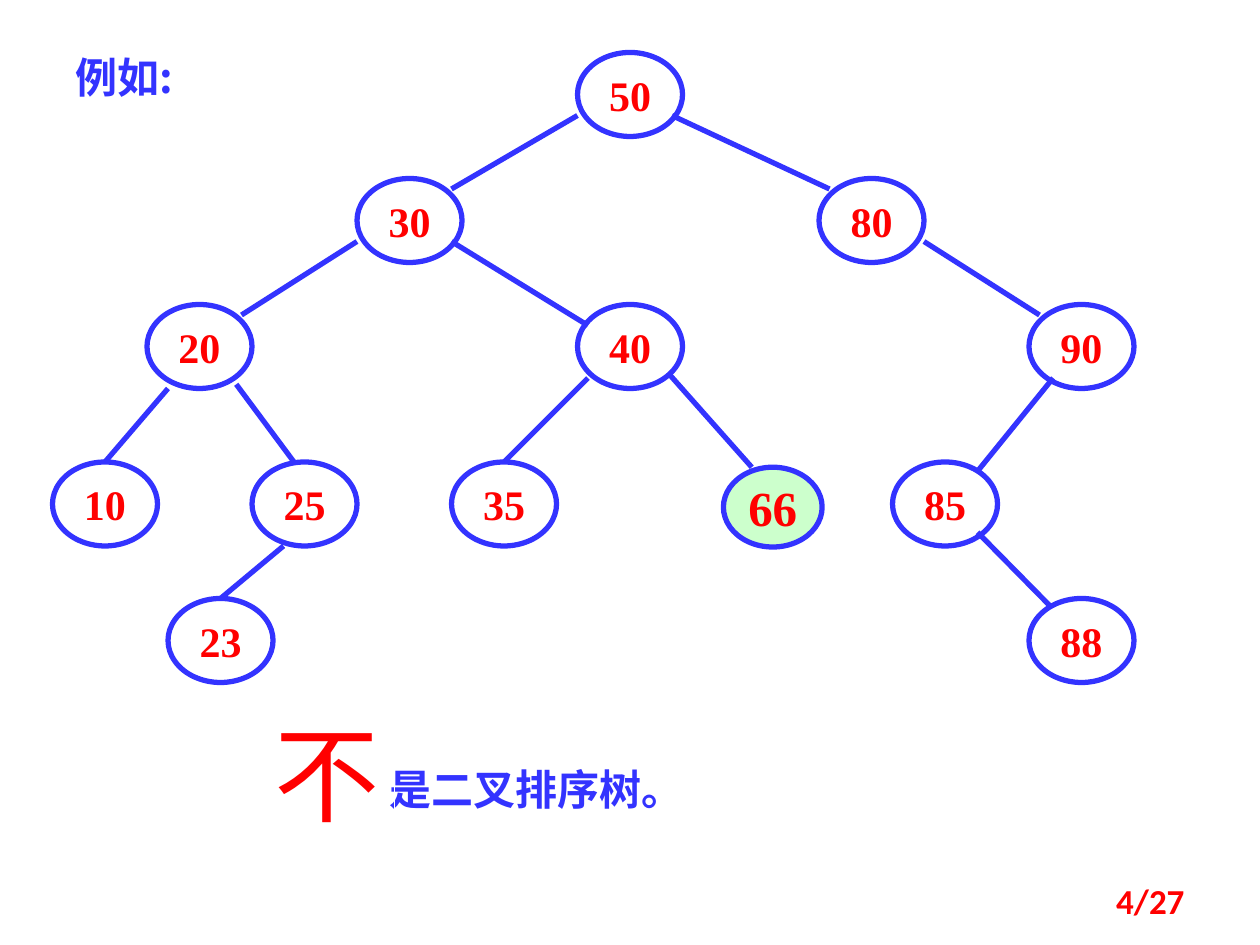
import pptx
import pptx.dml.color
import pptx.enum.shapes
import pptx.enum.text
import pptx.oxml.ns
import pptx.util
from lxml import etree

SLIDE_WIDTH, SLIDE_HEIGHT = 10, 7.5
COLUMNS, ROWS = 120, 90
NODE_SIZE = (10, 8)
THEME = {
    "edge": "3333FF", "key": "FF0000", "wrong": "CCFFCC", "frame": "FFFFFF",
    "edge_width": 3, "frame_width": 0.75,
    "serif": "Times New Roman", "cjk": "Noto Sans CJK SC", "sans": "Calibri",
    "text_size": 24, "wrong_size": 28, "not_size": 60, "page_size": 20,
}

KEYS = {
    "50": (55, 5),
    "30": (34, 17), "80": (78, 17),
    "20": (14, 29), "40": (55, 29), "90": (98, 29),
    "10": (5, 44), "25": (24, 44), "35": (43, 44), "85": (85, 44),
    "23": (16, 57), "88": (98, 57),
}
WRONG_KEY = ("66", (68.9, 44.5), (9.4, 7.6))
BRANCHES = [
    ((55, 11), (43, 18)), ((64, 11), (79, 18)),
    ((34, 23), (23, 30)), ((43, 23), (56, 31)), ((88, 23), (99, 30)),
    ((16, 37), (10, 44)), ((22.5, 36.6), (28, 44)),
    ((56, 36), (48, 44)), ((63.7, 35.6), (71.6, 44.5)),
    ((100.3, 36), (93, 45)),
    ((27, 52), (21, 57)), ((93.1, 50.7), (100, 57.7)),
]
CAPTIONS = [
    ("例如:", (6, 4.3), (12.6, 6), "cjk", "text_size", "edge", True, True),
    ("是二叉排序树。", (35.9, 72.1), (30.8, 6), "cjk", "text_size", "edge", True, False),
    ("不", (25, 67), (12.6, 13.3), "serif", "not_size", "key", False, False),
]
PAGE = ("4/27", (86, 83.4), (28, 4.8))

deck = pptx.Presentation()
deck.slide_width = pptx.util.Inches(SLIDE_WIDTH)
deck.slide_height = pptx.util.Inches(SLIDE_HEIGHT)
slide = deck.slides.add_slide(deck.slide_layouts[6])
Align = pptx.enum.text.PP_ALIGN
Anchor = pptx.enum.text.MSO_ANCHOR
Preset = pptx.enum.shapes.MSO_SHAPE


def place(point):
    return (int(deck.slide_width * point[0] / COLUMNS),
            int(deck.slide_height * point[1] / ROWS))


def color(name):
    return pptx.dml.color.RGBColor.from_string(THEME[name])


def outline(part, name):
    part.line.color.rgb = color(name)
    part.line.width = pptx.util.Pt(THEME[name + "_width"])


def write(part, words, font, size, ink, bold, align, anchor, wrap):
    frame = part.text_frame
    frame.text = words
    frame.word_wrap = wrap
    frame.vertical_anchor = anchor
    paragraph = frame.paragraphs[0]
    paragraph.alignment = align
    run = paragraph.runs[0]
    run.font.name = THEME[font]
    run.font.size = pptx.util.Pt(THEME[size])
    run.font.bold = bold
    run.font.color.rgb = color(ink)
    if not words.isascii():
        east_asian = etree.SubElement(run.font._element, pptx.oxml.ns.qn("a:ea"))
        east_asian.set("typeface", THEME["cjk"])


def add_part(preset, corner, size, border, fill=None):
    part = slide.shapes.add_shape(preset, *place(corner), *place(size))
    part.shadow.inherit = False
    outline(part, border)
    if fill:
        part.fill.solid()
        part.fill.fore_color.rgb = color(fill)
    else:
        part.fill.background()
    return part


def add_key(key, corner, size=NODE_SIZE, text_size="text_size", fill=None):
    node = add_part(Preset.OVAL, corner, size, "edge", fill)
    write(node, key, "serif", text_size, "key", True, Align.CENTER, Anchor.MIDDLE, False)


for parent, child in BRANCHES:
    branch = slide.shapes.add_connector(
        pptx.enum.shapes.MSO_CONNECTOR.STRAIGHT, *place(parent), *place(child))
    outline(branch, "edge")
    etree.SubElement(branch._element.spPr, pptx.oxml.ns.qn("a:effectLst"))

for key, corner in KEYS.items():
    add_key(key, corner)
add_key(*WRONG_KEY, "wrong_size", "wrong")

for words, corner, size, font, text_size, ink, bold, wrap in CAPTIONS:
    caption = add_part(Preset.RECTANGLE, corner, size, "frame")
    write(caption, words, font, text_size, ink, bold, Align.LEFT, Anchor.TOP, wrap)

number, corner, size = PAGE
page = slide.shapes.add_textbox(*place(corner), *place(size))
write(page, number, "sans", "page_size", "key", True, Align.RIGHT, Anchor.MIDDLE, True)

deck.save("out.pptx")
